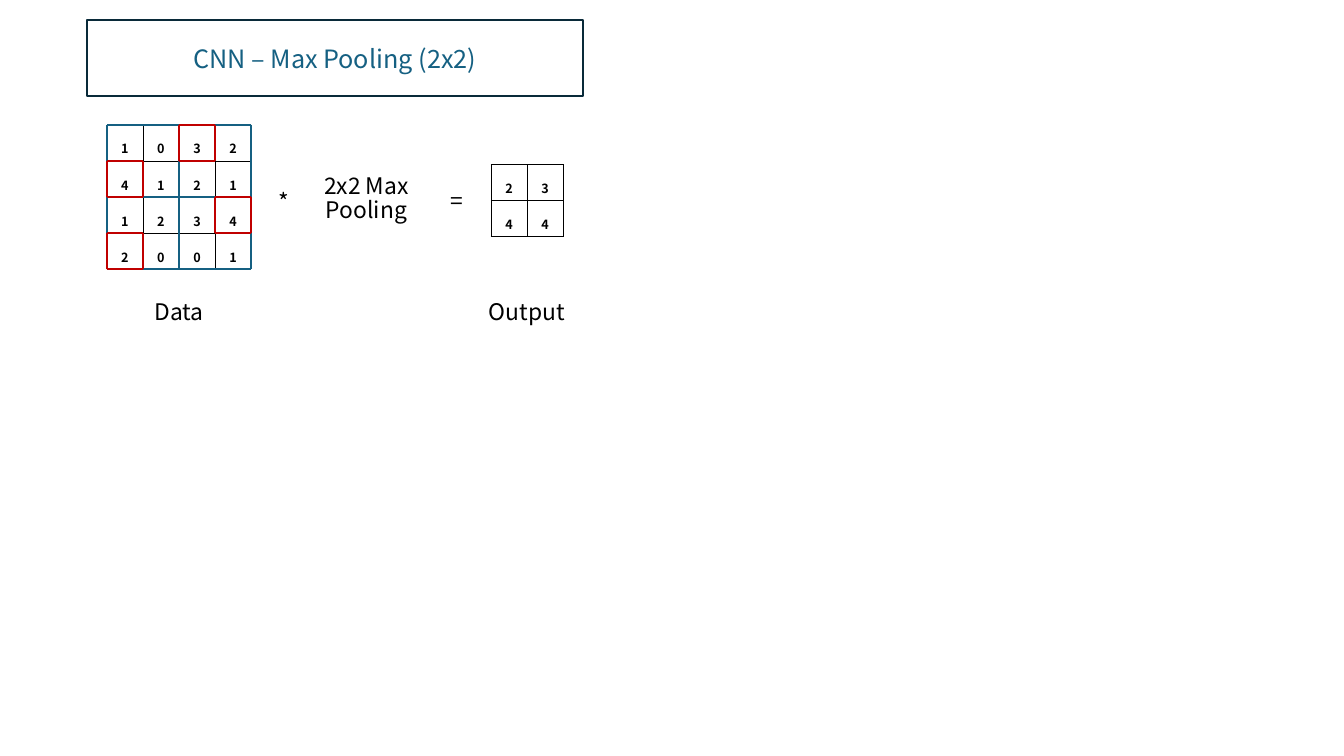
from lxml import etree
from pptx import Presentation
from pptx.dml.color import RGBColor
from pptx.enum import shapes, text
from pptx.oxml import ns
from pptx.util import Inches, Pt

FONT = "Noto Sans CJK KR"
COLORS = {"black": "000000", "white": "FFFFFF", "navy": "092A39",
          "blue": "156082", "red": "C00000"}
CELL = 1.43 / 4

DATA = [[1, 0, 3, 2], [4, 1, 2, 1], [1, 2, 3, 4], [2, 0, 0, 1]]
OUTPUT = [[2, 3], [4, 4]]
WINDOWS = [(0, 0), (0, 1), (1, 0), (1, 1)]
MAXIMA = [(0, 2), (1, 0), (2, 3), (3, 0)]


def rgb(name):
    return RGBColor.from_string(COLORS[name])


def style(p, size, color="black", bold=False):
    p.alignment = text.PP_ALIGN.CENTER
    p.font.name = FONT
    p.font.size = Pt(size)
    p.font.bold = bold
    p.font.color.rgb = rgb(color)


def add_box(s, box, words, size=16.3, color="black", line="white",
            anchor=text.MSO_ANCHOR.MIDDLE):
    sp = s.shapes.add_shape(shapes.MSO_SHAPE.RECTANGLE, *map(Inches, box))
    sp.shadow.inherit = False
    sp.fill.solid()
    sp.fill.fore_color.rgb = rgb("white")
    sp.line.color.rgb = rgb(line)
    sp.line.width = Pt(1.5)
    tf = sp.text_frame
    tf.word_wrap = True
    tf.vertical_anchor = anchor
    p = tf.paragraphs[0]
    p.text = words
    style(p, size, color)
    return p


def add_cell_borders(cell):
    tc_pr = cell._tc.get_or_add_tcPr()
    for side in "LRTB":
        ln = etree.SubElement(tc_pr, ns.qn(f"a:ln{side}"), w=str(Pt(0.28)))
        fill = etree.SubElement(ln, ns.qn("a:solidFill"))
        etree.SubElement(fill, ns.qn("a:srgbClr"), val=COLORS["black"])


def add_matrix(s, left, top, values):
    n = len(values)
    side = Inches(n * CELL)
    table = s.shapes.add_table(n, n, Inches(left), Inches(top), side, side).table
    table.first_row = table.horz_banding = False
    for i, row in enumerate(values):
        table.rows[i].height = table.columns[i].width = Inches(CELL)
        for j, value in enumerate(row):
            cell = table.cell(i, j)
            cell.margin_left = cell.margin_right = Inches(0.06)
            cell.margin_top = cell.margin_bottom = Inches(0.02)
            cell.vertical_anchor = text.MSO_ANCHOR.MIDDLE
            add_cell_borders(cell)
            cell.fill.background()
            p = cell.text_frame.paragraphs[0]
            p.text = str(value)
            p.line_spacing = 1.6
            style(p, 9, bold=True)


def outline_squares(s, left, top, side, squares, color):
    """Draw each edge of the (row, column) squares once."""
    edges = {}
    for r, c in squares:
        for edge in ((c, r, c + 1, r), (c, r + 1, c + 1, r + 1),
                     (c, r, c, r + 1), (c + 1, r, c + 1, r + 1)):
            edges[edge] = True
    for x1, y1, x2, y2 in edges:
        line = s.shapes.add_connector(
            shapes.MSO_CONNECTOR.STRAIGHT,
            Inches(left + x1 * side), Inches(top + y1 * side),
            Inches(left + x2 * side), Inches(top + y2 * side))
        line.line.color.rgb = rgb(color)
        line.line.width = Pt(1.5)
        etree.SubElement(line._element.spPr, ns.qn("a:effectLst"))


def add_data(s, left, top):
    add_matrix(s, left, top, DATA)
    outline_squares(s, left, top, 2 * CELL, WINDOWS, "blue")
    outline_squares(s, left, top, CELL, MAXIMA, "red")
    add_box(s, (left + 0.18, top + 1.67, 1.07, 0.36), "Data")


def add_operation(s, left, top):
    add_box(s, (left, top + 0.29, 0.32, 0.36), "*", anchor=text.MSO_ANCHOR.TOP)
    p = add_box(s, (left + 0.44, top, 1.07, 0.92), "2x2 Max\vPooling")
    p.line_spacing = 0.85
    add_box(s, (left + 1.71, top + 0.29, 0.32, 0.36), "=",
            anchor=text.MSO_ANCHOR.BOTTOM)


def add_output(s, left, top):
    add_matrix(s, left, top, OUTPUT)
    add_box(s, (left - 0.18, top + 1.28, 1.07, 0.36), "Output")


def main():
    prs = Presentation()
    prs.slide_width, prs.slide_height = Inches(13.33), Inches(7.5)
    s = prs.slides.add_slide(prs.slide_layouts[6])
    add_box(s, (0.86, 0.2, 4.92, 0.75), "CNN – Max Pooling (2x2)",
            18, "blue", "navy")
    add_data(s, 1.06, 1.24)
    add_operation(s, 2.66, 1.52)
    add_output(s, 4.87, 1.63)
    prs.save("out.pptx")


if __name__ == "__main__":
    main()
